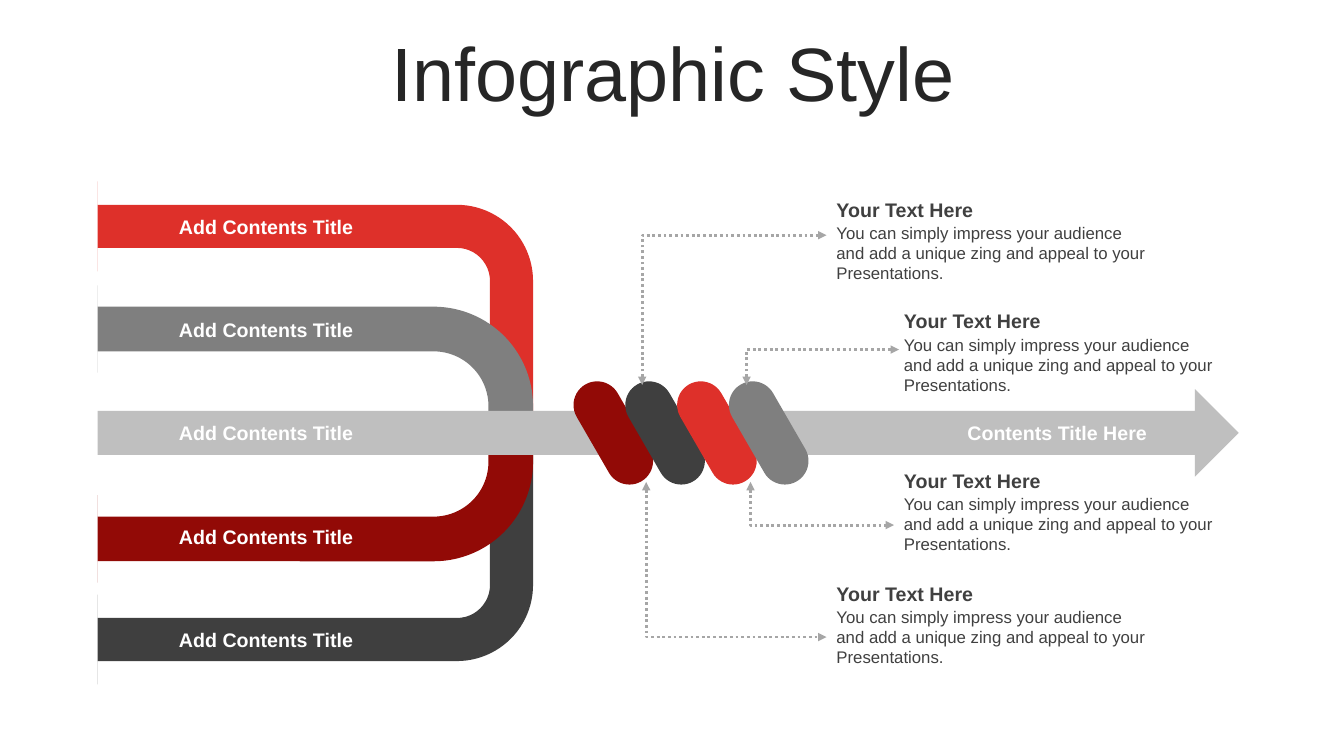
from lxml.etree import SubElement
from pptx import Presentation
from pptx.dml.color import RGBColor
from pptx.enum.dml import MSO_LINE
from pptx.enum.shapes import MSO_CONNECTOR, MSO_SHAPE
from pptx.enum.text import MSO_ANCHOR, MSO_AUTO_SIZE, PP_ALIGN
from pptx.oxml.ns import qn
from pptx.util import Pt

RED, DARK, GRAY, MAROON = "DE302A", "3F3F3F", "7F7F7F", "920A06"
SILVER, WHITE, TEXT = "BFBFBF", "FFFFFF", "404040"
color = RGBColor.from_string


def add_block(shapes, kind, left, top, width, height, fill):
    block = shapes.add_shape(kind, Pt(left), Pt(top), Pt(width), Pt(height))
    block.shadow.inherit = False
    block.fill.solid()
    block.fill.fore_color.rgb = color(fill)
    block.line.fill.background()
    return block


def add_text(shapes, text, left, top, width, height, size, ink, bold=False, align=PP_ALIGN.CENTER):
    box = shapes.add_textbox(Pt(left), Pt(top), Pt(width), Pt(height))
    frame = box.text_frame
    frame.word_wrap = True
    frame.auto_size = MSO_AUTO_SIZE.SHAPE_TO_FIT_TEXT
    paragraph = frame.paragraphs[0]
    paragraph.text = text
    paragraph.alignment = align
    paragraph.font.name = "Arial"
    paragraph.font.size = Pt(size)
    paragraph.font.bold = bold
    paragraph.font.color.rgb = color(ink)
    return frame


deck = Presentation()
deck.slide_width, deck.slide_height = Pt(960), Pt(540)
page = deck.slides.add_slide(deck.slide_layouts[6])

title = add_text(page.shapes, "Infographic Style", 25.2, 26.6, 911.5, 56.9, 54, "262626")
title.auto_size = MSO_AUTO_SIZE.NONE
title.vertical_anchor = MSO_ANCHOR.MIDDLE
title.paragraphs[0].line_spacing = 0.9

outer_bend = (0.185, 0.193, 0, 0.327)
inner_bend = (0.343, 0.336, 0, 0.765)
for top, height, bend, upside_down, fill in (
    (129.6, 166.3, outer_bend, False, RED),
    (322.6, 166.3, outer_bend, True, DARK),
    (203.8, 92.9, inner_bend, False, GRAY),
    (323.3, 92.9, inner_bend, True, MAROON),
):
    strand = add_block(page.shapes, MSO_SHAPE.BENT_ARROW, 69.8, top, 311, height, fill)
    for index, value in enumerate(bend):
        strand.adjustments[index] = value
    transform = strand._element.spPr.xfrm
    transform.set("flipH", "1")
    if upside_down:
        transform.set("flipV", "1")

add_block(page.shapes, MSO_SHAPE.RIGHT_ARROW, 69.8, 277.9, 815, 62.6, SILVER)
for row in range(5):
    add_text(page.shapes, "Add Contents Title", 103, 149.8 + 73.8 * row, 174.2, 24.5, 14, WHITE, True)

coil = page.shapes.add_group_shape()
for index, fill in enumerate((MAROON, DARK, RED, GRAY)):
    pill = add_block(coil.shapes, MSO_SHAPE.ROUNDED_RECTANGLE, 421.2 + 37 * index, 269.3, 33.8, 79.9, fill)
    pill.adjustments[0] = 0.5
    pill.rotation = 330

add_text(page.shapes, "Contents Title Here", 645.8, 297.4, 218.9, 24.5, 14, WHITE, True)

for left, top in ((590.4, 137.5), (638.6, 217.4), (638.6, 331.2), (590.4, 411.8)):
    note = page.shapes.add_group_shape()
    add_text(
        note.shapes,
        "You can simply impress your audience and add a unique zing and appeal to your Presentations.",
        left, top + 18, 240.5, 51.1, 12, TEXT, align=PP_ALIGN.LEFT,
    )
    add_text(note.shapes, "Your Text Here", left, top, 240.5, 24.5, 14, TEXT, True, PP_ALIGN.LEFT)

for start_x, start_y, end_x, end_y in (
    (533.2, 275, 642.2, 249.7),
    (458.7, 275, 590.4, 168),
    (536.1, 344.2, 638.6, 375.1),
    (461.6, 344.2, 590.4, 455),
):
    across, along = end_x - start_x, abs(end_y - start_y)
    left = (start_x + end_x - along) / 2
    top = (start_y + end_y - across) / 2
    link = page.shapes.add_connector(
        MSO_CONNECTOR.ELBOW, Pt(left), Pt(top), Pt(left + along), Pt(top + across)
    )
    properties = link._element.spPr
    properties.find(qn("a:prstGeom")).set("prst", "bentConnector2")
    rising = end_y < start_y
    properties.xfrm.set("rot", str((90 if rising else 270) * 60000))
    properties.xfrm.set("flipH", "1")
    if rising:
        properties.xfrm.set("flipV", "1")
    link.line.color.rgb = color("A6A6A6")
    link.line.width = Pt(2)
    link.line.dash_style = MSO_LINE.ROUND_DOT
    outline = properties.find(qn("a:ln"))
    for end in ("a:headEnd", "a:tailEnd"):
        SubElement(outline, qn(end), type="triangle")
    SubElement(properties, qn("a:effectLst"))

deck.save("out.pptx")
